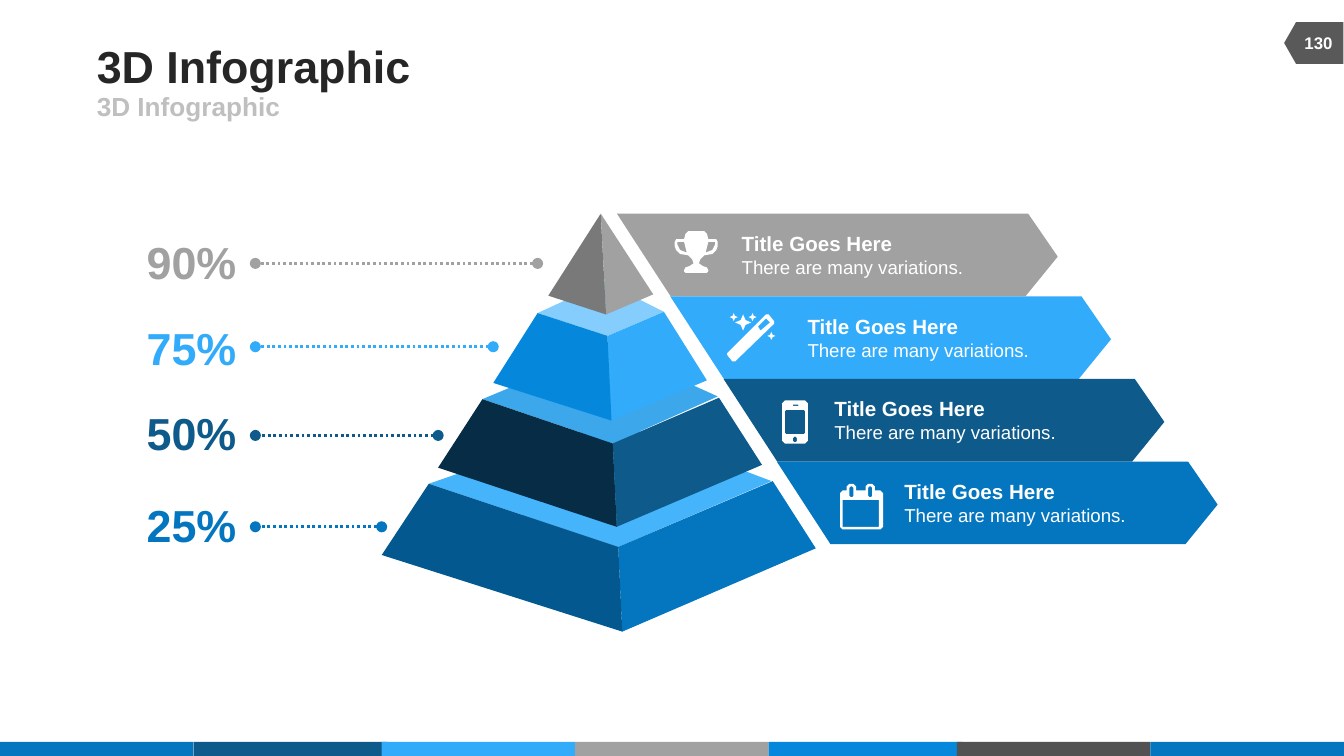
from dataclasses import dataclass

from lxml import etree
from pptx import Presentation
from pptx.dml.color import RGBColor
from pptx.enum.dml import MSO_LINE
from pptx.enum.shapes import MSO_CONNECTOR, MSO_SHAPE
from pptx.enum.text import MSO_ANCHOR, MSO_AUTO_SIZE, PP_ALIGN
from pptx.oxml.ns import qn
from pptx.util import Inches, Pt

LEFT, CENTER = PP_ALIGN.LEFT, PP_ALIGN.CENTER
TOP, MIDDLE = MSO_ANCHOR.TOP, MSO_ANCHOR.MIDDLE
NO_AUTOFIT = MSO_AUTO_SIZE.NONE
DOTTED = MSO_LINE.ROUND_DOT
STRAIGHT = MSO_CONNECTOR.STRAIGHT
RECTANGLE = MSO_SHAPE.RECTANGLE
PAGE_TAG = MSO_SHAPE.FLOWCHART_OFFPAGE_CONNECTOR


@dataclass(frozen=True)
class Theme:
    font: str = "Arial"
    ink: str = "262626"
    subtle: str = "BFBFBF"
    white: str = "FFFFFF"
    gray: str = "A1A1A1"
    sky: str = "32ACFA"
    navy: str = "0E5A8B"
    blue: str = "0476BF"
    bright: str = "0588DB"
    charcoal: str = "525252"
    tag: str = "595959"
    heading_size: int = 24
    subtitle_size: int = 14
    item_size: int = 11
    detail_size: int = 10
    page_size: int = 9


THEME = Theme()
SLIDE_WIDTH = 10
SLIDE_HEIGHT = SLIDE_WIDTH * 9 / 16
STRIPE_TOP = 5.52
BAND_TOP = 1.59
BAND_STEP = (4.05 - BAND_TOP) / 4
BAND_SHIFT = (5.78 - 4.59) / 3
BAND_OUTLINE = [(0, 0), (3.06, 0), (3.28, 0.32), (3.04, BAND_STEP), (0.4, BAND_STEP)]

# colour, percentage, its centre height, leader height, leader end, text left
ITEMS = [
    (THEME.gray, "90%", 1.95, 1.96, 4.0, 5.42),
    (THEME.sky, "75%", 2.59, 2.58, 3.67, 5.91),
    (THEME.navy, "50%", 3.22, 3.24, 3.26, 6.11),
    (THEME.blue, "25%", 3.9, 3.92, 2.84, 6.63),
]

# Levels from the base to the tip, each a list of (colour, outline) faces
PYRAMID = [
    [("46B4FB", [(4.55, 3.13), (5.74, 3.58), (4.6, 4.07), (3.19, 3.6)]),
     (THEME.blue, [(5.75, 3.58), (6.07, 4.08), (4.63, 4.7), (4.6, 4.07)]),
     ("03588F", [(4.63, 4.7), (2.84, 4.13), (3.19, 3.6), (4.6, 4.07)])],
    [("3CA7EB", [(4.52, 2.58), (5.34, 2.95), (4.56, 3.3), (3.59, 2.97)]),
     (THEME.navy, [(5.35, 2.96), (5.67, 3.46), (4.59, 3.92), (4.56, 3.3)]),
     ("072D46", [(3.26, 3.48), (3.59, 2.97), (4.56, 3.3), (4.59, 3.92)])],
    [("84CDFC", [(4.5, 2.1), (4.94, 2.32), (4.52, 2.5), (4, 2.33)]),
     (THEME.sky, [(4.55, 3.13), (4.52, 2.5), (4.94, 2.32), (5.26, 2.83)]),
     ("0588DC", [(4, 2.33), (4.52, 2.5), (4.55, 3.13), (3.67, 2.85)])],
    [(THEME.gray, [(4.86, 2.19), (4.51, 2.34), (4.47, 1.59)]),
     ("797979", [(4.51, 2.34), (4.08, 2.2), (4.47, 1.59)])],
]


def box(left, top, right, bottom, cut=0):
    """Return the corners of a rectangle, cut off diagonally by the given length."""
    if not cut:
        return [(left, top), (right, top), (right, bottom), (left, bottom)]
    return [(left + cut, top), (right - cut, top), (right, top + cut), (right, bottom - cut),
            (right - cut, bottom), (left + cut, bottom), (left, bottom - cut), (left, top + cut)]


def sparkle(x, y, radius):
    """Return the outline of a four-pointed star."""
    waist = radius * 0.3
    return [(x, y - radius), (x + waist, y - waist), (x + radius, y), (x + waist, y + waist),
            (x, y + radius), (x - waist, y + waist), (x - radius, y), (x - waist, y - waist)]


def trophy():
    axis = 5.18
    half = [(0.06, 1.72), (0.08, 1.74), (0.09, 1.78), (0.15, 1.78), (0.16, 1.8), (0.16, 1.83),
            (0.15, 1.86), (0.12, 1.89), (0.06, 1.9), (0.03, 1.93), (0.02, 1.96), (0.05, 1.98),
            (0.08, 1.99), (0.09, 2.01), (0.09, 2.02), (0.08, 2.03)]
    handle = [(0.09, 1.8), (0.14, 1.8), (0.14, 1.82), (0.12, 1.86), (0.07, 1.88)]
    right, left = ([(axis + side * x, y) for x, y in half] for side in (1, -1))
    handles = [[(axis + side * x, y) for x, y in handle] for side in (1, -1)]
    return [right + left[::-1], *handles]


def wand():
    rod = [(5.7, 2.34), (5.72, 2.34), (5.76, 2.39), (5.76, 2.41), (5.47, 2.69),
           (5.45, 2.69), (5.41, 2.64), (5.41, 2.63)]
    tip = [(5.73, 2.4), (5.7, 2.37), (5.64, 2.43), (5.66, 2.46)]
    stars = [(5.46, 2.36, 0.03), (5.53, 2.4, 0.06), (5.6, 2.36, 0.03), (5.74, 2.5, 0.03)]
    return [rod, tip, *(sparkle(*star) for star in stars)]


def phone():
    return [box(5.82, 2.98, 6.01, 3.3, 0.02), box(5.84, 3.05, 5.99, 3.23, 0.01),
            box(5.9, 3.01, 5.94, 3.02), box(5.9, 3.25, 5.93, 3.29, 0.01)]


def calendar():
    outline = [(6.25, 3.67), (6.27, 3.65)]
    holes = [box(6.27, 3.72, 6.54, 3.92)]
    for left in (6.3, 6.44):
        outline += [(left, 3.65), (left, 3.62), (left + 0.02, 3.6), (left + 0.05, 3.6),
                    (left + 0.07, 3.62), (left + 0.07, 3.65)]
        holes.append(box(left + 0.02, 3.62, left + 0.05, 3.7, 0.01))
    outline += [(6.55, 3.65), (6.57, 3.67), (6.57, 3.92), (6.55, 3.94), (6.27, 3.94), (6.25, 3.92)]
    return [outline, *holes]


def paint(shape, color):
    shape.shadow.inherit = False
    shape.fill.solid()
    shape.fill.fore_color.rgb = RGBColor.from_string(color)
    shape.line.fill.background()


def add_outline(shapes, contours, color):
    """Draw one freeform; contours inside another become holes."""
    first, *others = [[(Inches(x), Inches(y)) for x, y in contour] for contour in contours]
    builder = shapes.build_freeform(*first[0])
    builder.add_line_segments(first[1:], close=True)
    for contour in others:
        builder.move_to(*contour[0])
        builder.add_line_segments(contour[1:], close=True)
    paint(builder.convert_to_shape(), color)


def place(shape, left, top, width, height):
    shape.left, shape.top = Inches(left), Inches(top)
    shape.width, shape.height = Inches(width), Inches(height)


def write(shape, lines, align=LEFT, anchor=MIDDLE, inset=0.0, wrap=False):
    """Fill a shape with lines of (text, size, colour, bold)."""
    frame = shape.text_frame
    frame.auto_size, frame.word_wrap, frame.vertical_anchor = NO_AUTOFIT, wrap, anchor
    frame.margin_left = frame.margin_right = Inches(inset)
    frame.margin_top = frame.margin_bottom = Inches(inset / 2)
    for index, (text, size, color, bold) in enumerate(lines):
        paragraph = frame.add_paragraph() if index else frame.paragraphs[0]
        paragraph.alignment, paragraph.space_before = align, Pt(0)
        run = paragraph.add_run()
        run.text = text
        run.font.name, run.font.size, run.font.bold = THEME.font, Pt(size), bold
        run.font.color.rgb = RGBColor.from_string(color)


def add_text(slide, area, lines, **layout):
    shape = slide.shapes.add_textbox(*map(Inches, area))
    write(shape, lines, **layout)


def add_leader(slide, start, end, y, color):
    """Draw a dotted line with a round dot at both ends."""
    leader = slide.shapes.add_connector(STRAIGHT, Inches(start), Inches(y), Inches(end), Inches(y))
    leader.line.color.rgb = RGBColor.from_string(color)
    leader.line.width, leader.line.dash_style = Pt(1.5), DOTTED
    line = leader.line._get_or_add_ln()
    for end_tag in ("a:headEnd", "a:tailEnd"):
        etree.SubElement(line, qn(end_tag), type="oval")
    etree.SubElement(leader._element.spPr, qn("a:effectLst"))


def add_headings(slide):
    title, subtitle = slide.shapes.title, slide.placeholders[1]
    place(title, 0.72, 0.29, 6.17, 0.39)
    write(title, [("3D Infographic", THEME.heading_size, THEME.ink, True)])
    place(subtitle, 0.72, 0.68, 4.5, 0.22)
    write(subtitle, [("3D Infographic", THEME.subtitle_size, THEME.subtle, True)])
    properties = subtitle.text_frame.paragraphs[0]._p.get_or_add_pPr()
    properties.set("marL", "0")
    properties.set("indent", "0")
    etree.SubElement(properties, qn("a:buNone"))


def add_page_furniture(slide):
    colors = [THEME.blue, THEME.navy, THEME.sky, THEME.gray, THEME.bright, THEME.charcoal, THEME.blue]
    for left, color in zip((0, 1.44, 2.84, 4.28, 5.72, 7.12, 8.56), colors):
        area = (left, STRIPE_TOP, 1.44, SLIDE_HEIGHT - STRIPE_TOP)
        paint(slide.shapes.add_shape(RECTANGLE, *map(Inches, area)), color)
    tag = slide.shapes.add_shape(PAGE_TAG, *map(Inches, (9.62, 0.1, 0.31, 0.44)))
    tag.rotation = 90
    paint(tag, THEME.tag)
    add_text(slide, (9.6, 0.17, 0.42, 0.3), [("130", THEME.page_size, THEME.white, True)],
             align=CENTER)


def main():
    presentation = Presentation()
    presentation.slide_width, presentation.slide_height = Inches(SLIDE_WIDTH), Inches(SLIDE_HEIGHT)
    slide = presentation.slides.add_slide(presentation.slide_layouts[1])
    add_page_furniture(slide)
    add_headings(slide)

    for index, (color, *_) in enumerate(ITEMS):
        left, top = 4.59 + index * BAND_SHIFT, BAND_TOP + index * BAND_STEP
        add_outline(slide.shapes, [[(left + x, top + y) for x, y in BAND_OUTLINE]], color)
    for faces in PYRAMID:
        level = slide.shapes.add_group_shape()
        for color, outline in faces:
            add_outline(level.shapes, [outline], color)

    icons = (trophy(), wand(), phone(), calendar())
    for index, (item, icon) in enumerate(zip(ITEMS, icons)):
        color, percentage, center, leader_y, leader_end, text_left = item
        add_outline(slide.shapes, icon, THEME.white)
        add_text(slide, (text_left, 1.67 + index * BAND_STEP, 2.32, 0.45),
                 [("Title Goes Here", THEME.item_size, THEME.white, True),
                  ("There are many variations.", THEME.detail_size, THEME.white, False)],
                 anchor=TOP, inset=0.1, wrap=True)
        add_leader(slide, leader_end, 1.9, leader_y, color)
        add_text(slide, (1.09, center - 0.2, 0.67, 0.4),
                 [(percentage, THEME.heading_size, color, True)], align=CENTER)
    presentation.save("out.pptx")


if __name__ == "__main__":
    main()
